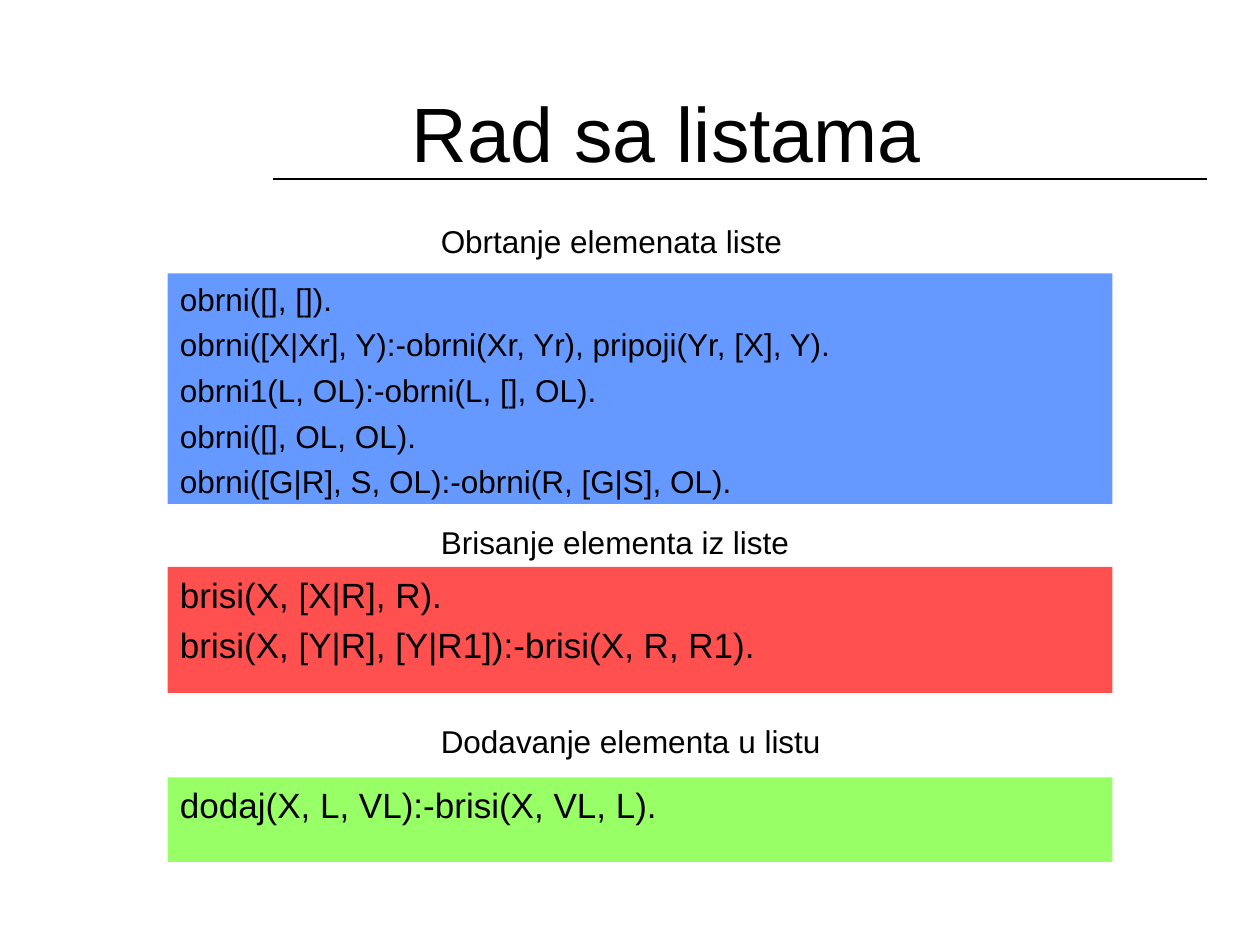
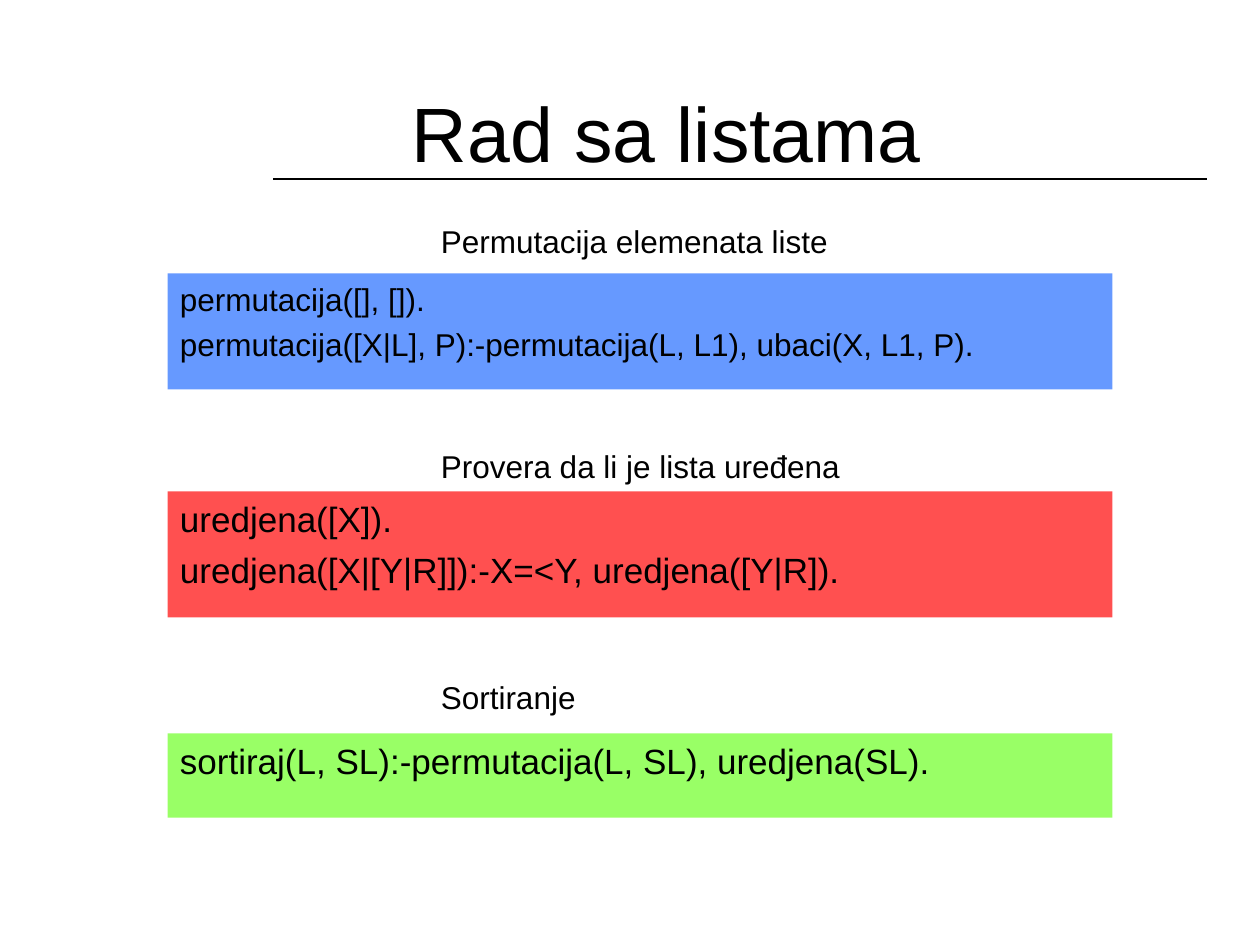
from lxml.etree import SubElement
from pptx import Presentation
from pptx.dml.color import RGBColor
from pptx.enum.shapes import MSO_CONNECTOR, MSO_SHAPE
from pptx.enum.text import MSO_ANCHOR, MSO_AUTO_SIZE, PP_ALIGN
from pptx.oxml.ns import qn
from pptx.util import Inches, Pt

BLACK, BLUE, RED, GREEN = "000000", "6699FF", "FF5050", "99FF66"
TITLE = "Rad sa listama"
BLOCK_STYLES = [
    (BLUE, 18, PP_ALIGN.LEFT),
    (RED, 20, PP_ALIGN.LEFT),
    (GREEN, 20, PP_ALIGN.JUSTIFY),
]

SLIDES = [
    [
        ("Obrtanje elemenata liste", 1.71, 2.93, 2.17, 1.83, [
            "obrni([], []).",
            "obrni([X|Xr], Y):-obrni(Xr, Yr), pripoji(Yr, [X], Y).",
            "obrni1(L, OL):-obrni(L, [], OL).",
            "obrni([], OL, OL).",
            "obrni([G|R], S, OL):-obrni(R, [G|S], OL).",
        ]),
        ("Brisanje elementa iz liste", 4.1, 2.98, 4.5, 1, [
            "brisi(X, [X|R], R).",
            "brisi(X, [Y|R], [Y|R1]):-brisi(X, R, R1).",
        ]),
        ("Dodavanje elementa u listu", 5.68, 3.23, 6.17, 0.67, [
            "dodaj(X, L, VL):-brisi(X, VL, L).",
        ]),
    ],
    [
        ("Permutacija elemenata liste", 1.71, 3.29, 2.17, 0.92, [
            "permutacija([], []).",
            "permutacija([X|L], P):-permutacija(L, L1), ubaci(X, L1, P).",
        ]),
        ("Provera da li je lista uređena", 3.5, 3.39, 3.9, 1, [
            "uredjena([X]).",
            "uredjena([X|[Y|R]]):-X=<Y, uredjena([Y|R]).",
        ]),
        ("Sortiranje", 5.33, 1.29, 5.82, 0.67, [
            "sortiraj(L, SL):-permutacija(L, SL), uredjena(SL).",
        ]),
    ],
]


def color(value):
    return RGBColor.from_string(value)


def write(shape, lines, size=18, align=PP_ALIGN.LEFT, anchor=MSO_ANCHOR.TOP,
          wrap=True, fit=MSO_AUTO_SIZE.NONE, space=0, hanging=0):
    frame = shape.text_frame
    frame.text = "\n".join(lines)
    frame.word_wrap = wrap
    frame.auto_size = fit
    frame.vertical_anchor = anchor
    for paragraph in frame.paragraphs:
        paragraph.alignment = align
        paragraph.space_before = Pt(space)
        properties = paragraph._p.get_or_add_pPr()
        properties.set("marL", str(Inches(hanging)))
        properties.set("indent", str(-Inches(hanging)))
        font = paragraph.runs[0].font
        font.name = "Arial"
        font.size = Pt(size)
        font.color.rgb = color(BLACK)


presentation = Presentation()
presentation.slide_width = Inches(10)
presentation.slide_height = Inches(7.5)
title_only = presentation.slide_layouts[5]

for sections in SLIDES:
    slide = presentation.slides.add_slide(title_only)
    title = slide.shapes.title
    title.left, title.top = Inches(2.5), Inches(0.42)
    title.width, title.height = Inches(5.58), Inches(1.25)
    write(title, [TITLE], size=44, align=PP_ALIGN.CENTER, anchor=MSO_ANCHOR.MIDDLE)

    rule = slide.shapes.add_connector(
        MSO_CONNECTOR.STRAIGHT, Inches(2.17), Inches(1.42), Inches(9.58), Inches(1.42))
    rule.line.color.rgb = color(BLACK)
    rule.line.width = Pt(0.75)
    SubElement(rule._element.spPr, qn("a:effectLst"))

    for section, (fill, size, align) in zip(sections, BLOCK_STYLES):
        heading, heading_top, heading_width, top, height, code = section
        block = slide.shapes.add_shape(
            MSO_SHAPE.RECTANGLE, Inches(1.33), Inches(top), Inches(7.5), Inches(height))
        block.shadow.inherit = False
        block.fill.solid()
        block.fill.fore_color.rgb = color(fill)
        block.line.fill.background()
        write(block, code, size=size, align=align, space=size / 4, hanging=0.38)

        label = slide.shapes.add_textbox(
            Inches(3.4), Inches(heading_top), Inches(heading_width), Inches(0.4))
        write(label, [heading], wrap=False, fit=MSO_AUTO_SIZE.SHAPE_TO_FIT_TEXT)

presentation.save("out.pptx")
